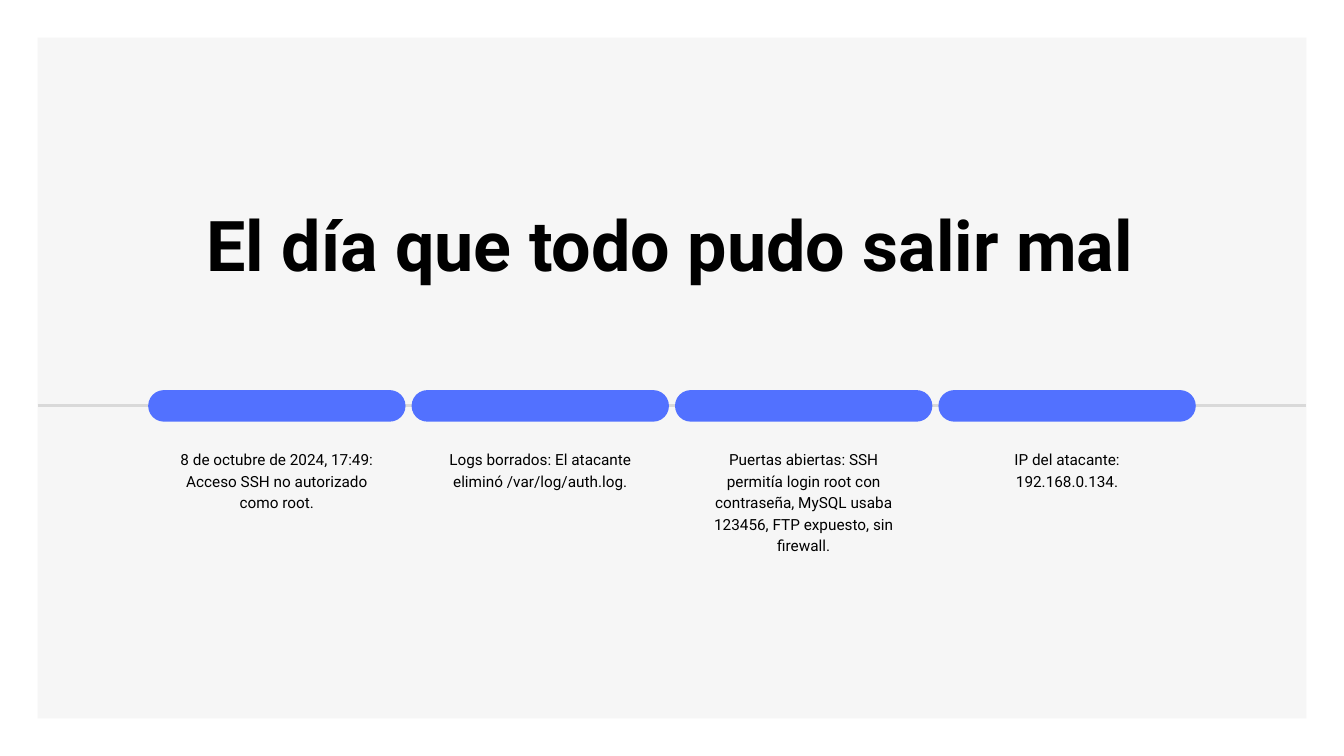
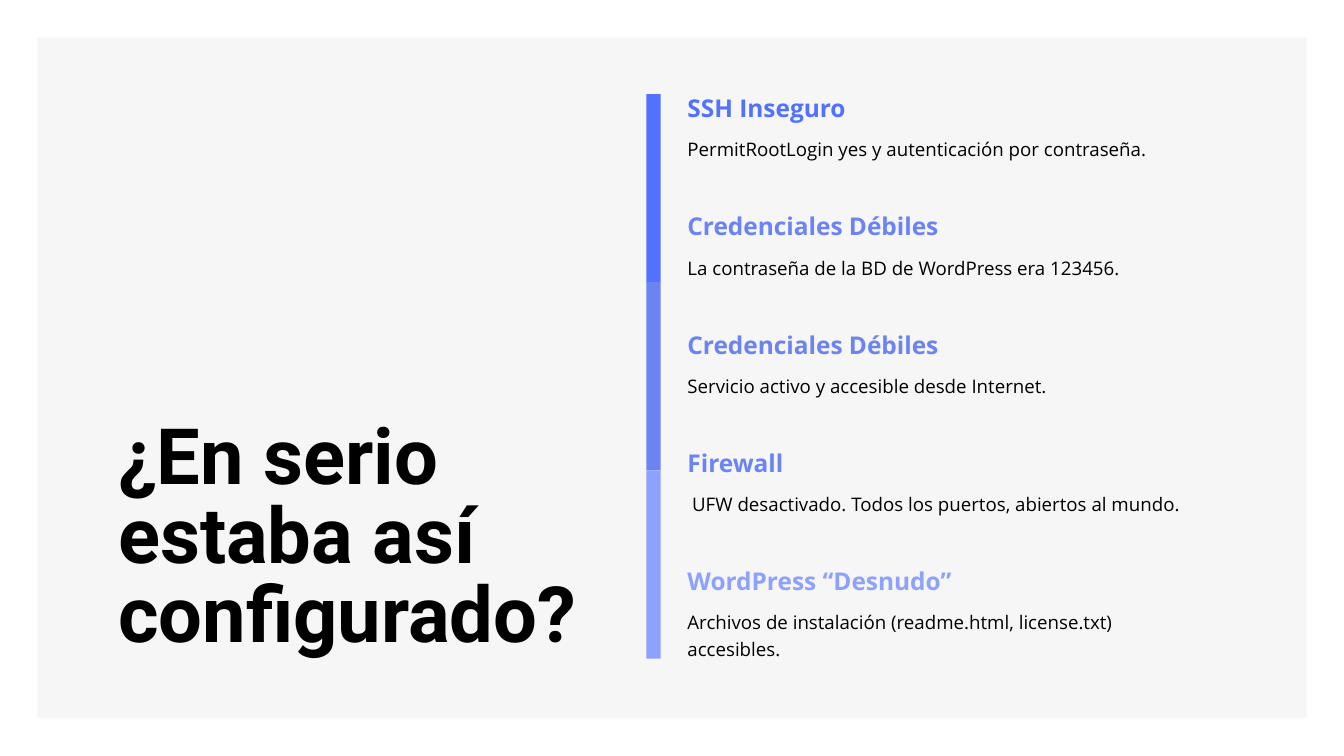
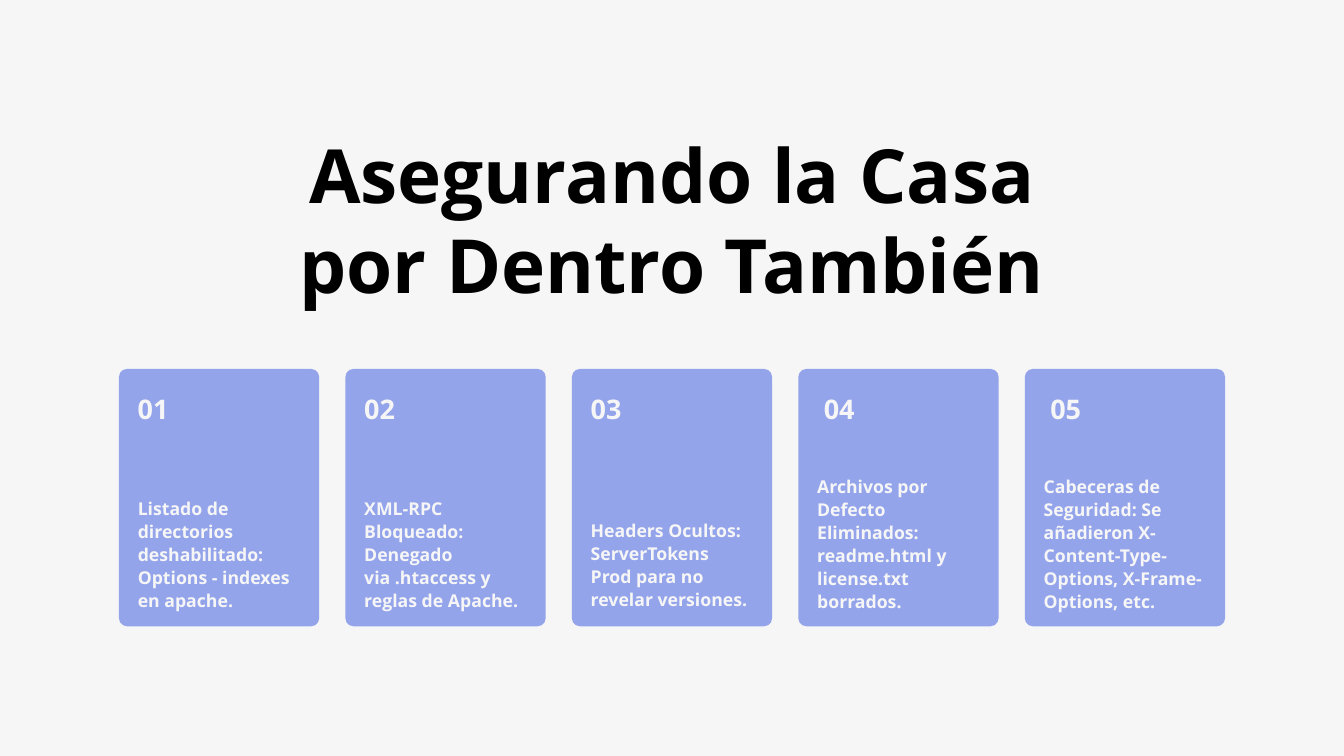
from pptx import Presentation
from pptx.dml.color import RGBColor
from pptx.enum.shapes import MSO_CONNECTOR, MSO_SHAPE
from pptx.enum.text import MSO_AUTO_SIZE, PP_ALIGN
from pptx.util import Inches, Pt
from lxml.etree import SubElement
from pptx.oxml.ns import qn

# Shared look
SLIDE_W, SLIDE_H, MARGIN = 20, 11.25, 0.56
BLACK, PAPER, BLUE, MID_BLUE, PALE_BLUE = "000000", "F6F6F6", "5271FF", "6B83F4", "8DA1FF"
CARD_BLUE, RULE_GREY = "94A4EB", "D9D9D9"
ROBOTO, OPEN_SANS = "Roboto", "Open Sans"

# Content
EVENTS = [
    "8 de octubre de 2024, 17:49: Acceso SSH no autorizado como root.",
    "Logs borrados: El atacante eliminó /var/log/auth.log.",
    "Puertas abiertas: SSH permitía login root con contraseña, MySQL usaba 123456, "
    "FTP expuesto, sin firewall.",
    "IP del atacante: 192.168.0.134.",
]
EVENT_LINES = [3, 2, 5, 2]

# heading, colour, text, text width, text indent
FLAWS = [
    ("SSH Inseguro", BLUE, "PermitRootLogin yes y autenticación por contraseña.", 7.47, 0),
    ("Credenciales Débiles", MID_BLUE, "La contraseña de la BD de WordPress era 123456.", 6.65, 0),
    ("Credenciales Débiles", MID_BLUE, "Servicio activo y accesible desde Internet.", 6.65, 0),
    ("Firewall", MID_BLUE, "UFW desactivado. Todos los puertos, abiertos al mundo.", 7.47, 0.07),
    ("WordPress “Desnudo”", PALE_BLUE,
     "Archivos de instalación (readme.html, license.txt) accesibles.", 7.47, 0),
]

# text, lines it fills, indent of the number
MEASURES = [
    ("Listado de directorios deshabilitado: Options - indexes en apache.", 5, 0.28),
    ("XML-RPC Bloqueado: Denegado via .htaccess y reglas de Apache.", 5, 0.28),
    ("Headers Ocultos: ServerTokens Prod para no revelar versiones.", 4, 0.28),
    ("Archivos por Defecto Eliminados: readme.html y license.txt borrados.", 6, 0.38),
    ("Cabeceras de Seguridad: Se añadieron X-Content-Type-Options, X-Frame-Options, etc.", 6, 0.38),
]


def rgb(color):
    return RGBColor.from_string(color)


def add_block(s, x, y, w, h, color, radius=None):
    kind = MSO_SHAPE.RECTANGLE if radius is None else MSO_SHAPE.ROUNDED_RECTANGLE
    sp = s.shapes.add_shape(kind, Inches(x), Inches(y), Inches(w), Inches(h))
    if radius is not None:
        sp.adjustments[0] = radius / min(w, h)
    sp.shadow.inherit = False
    sp.fill.solid()
    sp.fill.fore_color.rgb = rgb(color)
    sp.line.fill.background()


def add_text(s, x, y, w, h, text, size, spacing, font=OPEN_SANS, color=BLACK,
             bold=False, align=PP_ALIGN.LEFT):
    tf = s.shapes.add_textbox(Inches(x), Inches(y), Inches(w), Inches(h)).text_frame
    tf.margin_left = tf.margin_top = tf.margin_right = tf.margin_bottom = 0
    tf.word_wrap = True
    tf.auto_size = MSO_AUTO_SIZE.SHAPE_TO_FIT_TEXT
    p = tf.paragraphs[0]
    p.alignment = align
    p.line_spacing = Pt(spacing)
    r = p.add_run()
    r.text = text
    r.font.name, r.font.size, r.font.bold = font, Pt(size), bold
    r.font.color.rgb = rgb(color)


def add_rule(s, x1, x2, y):
    line = s.shapes.add_connector(MSO_CONNECTOR.STRAIGHT, Inches(x1), Inches(y),
                                  Inches(x2), Inches(y))
    line.line.color.rgb = rgb(RULE_GREY)
    line.line.width = Pt(3)
    SubElement(line._element.spPr, qn("a:effectLst"))


def add_panel(s):
    add_block(s, MARGIN, MARGIN, SLIDE_W - 2 * MARGIN, SLIDE_H - 2 * MARGIN, PAPER)


def centred_columns(count, width, gap):
    left = (SLIDE_W - count * width - (count - 1) * gap) / 2
    return [left + i * (width + gap) for i in range(count)]


def build_timeline(s):
    add_panel(s)
    pill_w, pill_h, axis_y, inset = 3.83, 0.47, 6.04, 0.43
    add_rule(s, MARGIN, SLIDE_W - MARGIN, axis_y)
    columns = centred_columns(len(EVENTS), pill_w, 0.09)
    for x, event, lines in zip(columns, EVENTS, EVENT_LINES):
        add_block(s, x, axis_y - pill_h / 2, pill_w, pill_h, BLUE, radius=pill_h / 2)
        add_text(s, x + inset, 6.66, pill_w - 2 * inset, 0.31 * lines, event, 16.4, 23,
                 ROBOTO, align=PP_ALIGN.CENTER)
    add_text(s, 1.76, 3.18, 16.42, 1.11, "El día que todo pudo salir mal", 75, 76.5,
             ROBOTO, bold=True, align=PP_ALIGN.CENTER)


def build_flaws(s):
    add_panel(s)
    # Three-tone vertical bar
    band_h = 2.8
    for i, color in enumerate([BLUE, MID_BLUE, PALE_BLUE]):
        add_block(s, 9.62, 1.4 + i * band_h, 0.21, band_h, color)
    # Headings with their explanations
    for i, (heading, color, text, width, indent) in enumerate(FLAWS):
        y = 1.4 + i * 1.76
        add_text(s, 10.23, y, 7.47, 0.43, heading, 26.2, 30.4, color=color, bold=True)
        add_text(s, 10.23 + indent, y + 0.6, width, 0.37, text, 20, 28)
    add_text(s, 1.76, 6.26, 7.29, 3.55, "¿En serio estaba así configurado?", 83.2, 84.8,
             ROBOTO, bold=True)


def build_measures(s):
    s.background.fill.solid()
    s.background.fill.fore_color.rgb = rgb(PAPER)
    add_text(s, 4.06, 1.92, 11.88, 2.67, "Asegurando la Casa por Dentro También", 80, 96,
             bold=True, align=PP_ALIGN.CENTER)
    # Numbered cards, text resting on a common bottom line
    card_w, text_bottom = 2.98, 9.05
    columns = centred_columns(len(MEASURES), card_w, 0.39)
    for i, (x, (text, lines, indent)) in enumerate(zip(columns, MEASURES), 1):
        text_h = lines * 2 / 6
        add_block(s, x, 5.49, card_w, 3.83, CARD_BLUE, radius=0.12)
        add_text(s, x + indent, 5.69, 0.64, 0.59, f"{i:02}", 28.9, 45.4, color=PAPER, bold=True)
        add_text(s, x + 0.28, text_bottom - text_h, 2.39, text_h, text, 18.9, 24.6,
                 color=PAPER, bold=True)


def main():
    prs = Presentation()
    prs.slide_width, prs.slide_height = Inches(SLIDE_W), Inches(SLIDE_H)
    for build in (build_timeline, build_flaws, build_measures):
        build(prs.slides.add_slide(prs.slide_layouts[6]))
    prs.save("out.pptx")


if __name__ == "__main__":
    main()
